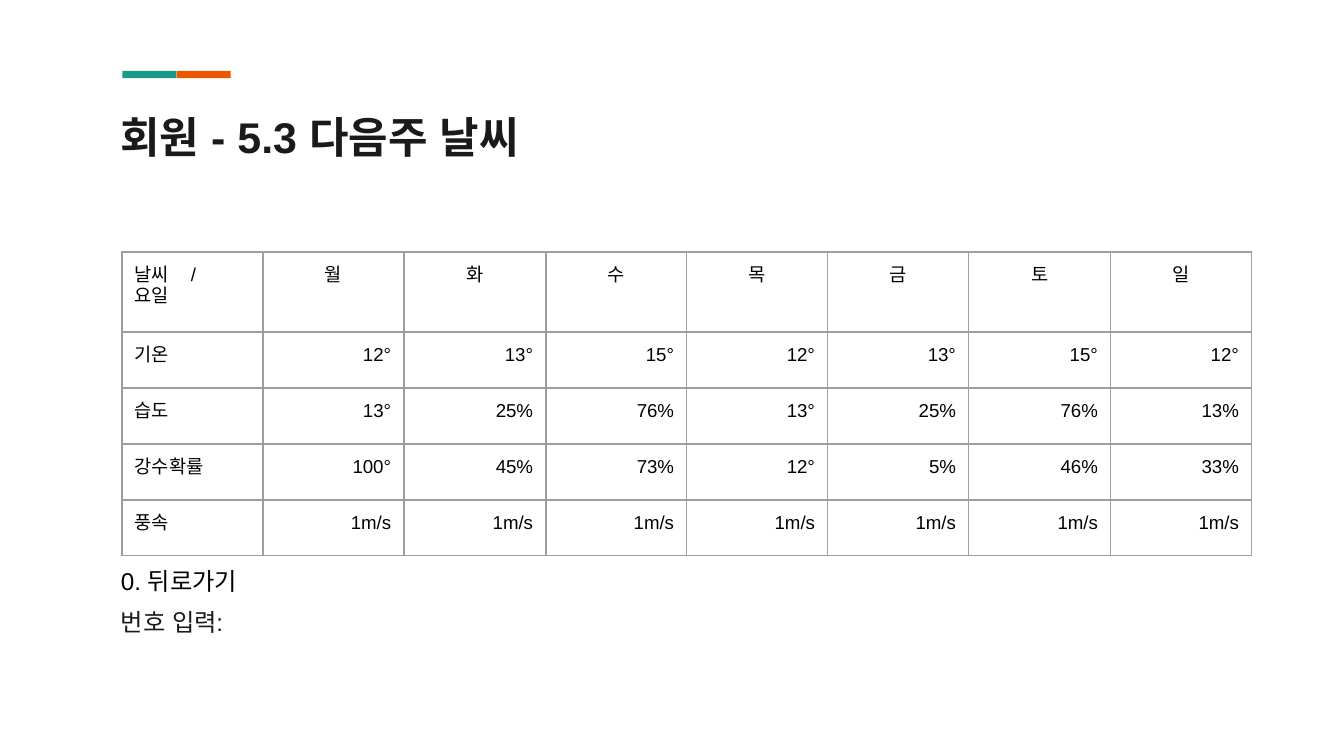
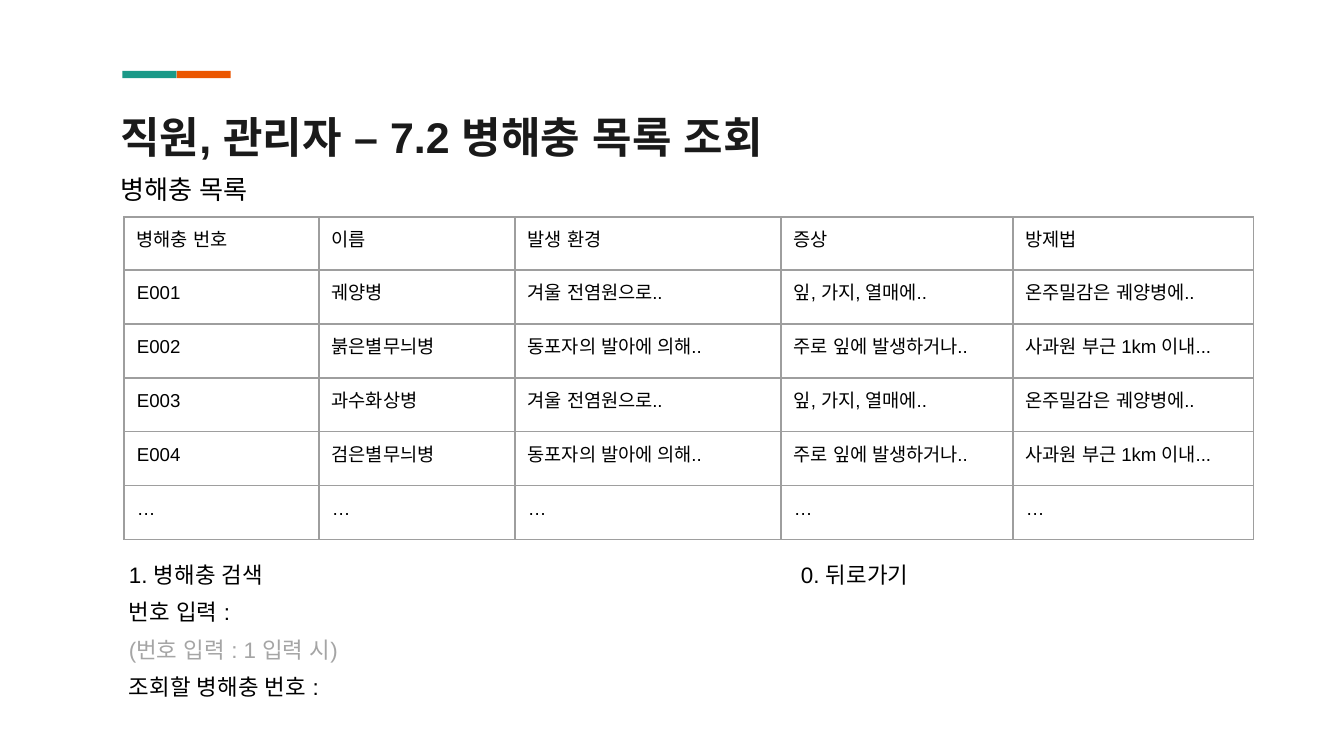
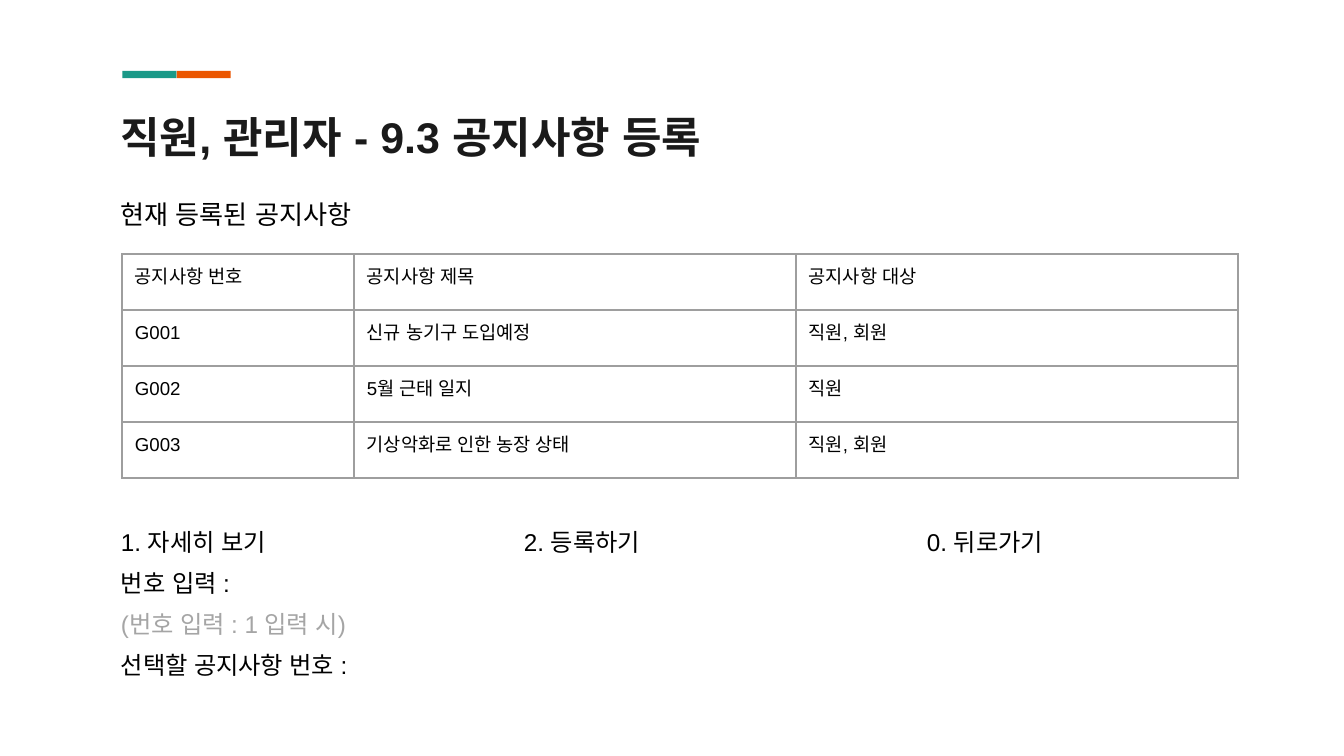
from dataclasses import dataclass

from lxml import etree
from pptx import Presentation
from pptx.dml.color import RGBColor
from pptx.enum.shapes import MSO_SHAPE
from pptx.enum.text import MSO_ANCHOR, MSO_AUTO_SIZE, PP_ALIGN
from pptx.oxml.ns import qn
from pptx.util import Emu, Pt

# Shared style
TEAL = RGBColor(0x1A, 0x99, 0x88)
ORANGE = RGBColor(0xEB, 0x56, 0x00)
INK = RGBColor(0x1A, 0x1A, 0x1A)
BLACK = RGBColor(0, 0, 0)
HINT = RGBColor(0xA5, 0xA5, 0xA5)
GRID = RGBColor(0x9E, 0x9E, 0x9E)
FONT = "Arial"
RECT = MSO_SHAPE.RECTANGLE
TOP, MIDDLE = MSO_ANCHOR.TOP, MSO_ANCHOR.MIDDLE
LEFT, CENTER, RIGHT = PP_ALIGN.LEFT, PP_ALIGN.CENTER, PP_ALIGN.RIGHT
NO_FIT = MSO_AUTO_SIZE.NONE
TITLE_ONLY = 5
W, H = 1344, 756
INSET = 13


def px(n: int) -> Emu:
    return Emu(round(n * 9144000 / W))


@dataclass
class Box:
    x: int
    y: int
    w: int
    h: int

    def emu(self) -> tuple:
        return px(self.x), px(self.y), px(self.w), px(self.h)


@dataclass
class Line:
    text: str
    color: RGBColor = BLACK
    tabs: tuple = ()


@dataclass
class TextBlock:
    box: Box
    size: int
    lines: list
    spacing: float = 1.0
    anchor: MSO_ANCHOR = TOP


@dataclass
class Grid:
    x: int
    y: int
    cols: list
    rows: list
    cells: list
    head_align: PP_ALIGN = LEFT
    value_align: PP_ALIGN = LEFT


@dataclass
class Page:
    title: str
    grid: Grid
    blocks: list


TITLE_BOX = Box(107, 98, 1130, 79)
# Upright bars, turned on their side and scaled by their group
BARS_BOX = Box(148, 4, 57, 141)
BARS = [(Box(78, 0, 4, 78), ORANGE), (Box(0, 0, 4, 78), TEAL)]


def add_text(p, text: str, size: int, color: RGBColor, bold: bool = False, tabs: tuple = ()) -> None:
    if tabs:
        tab_list = etree.SubElement(p._p.get_or_add_pPr(), qn("a:tabLst"))
        for stop in tabs:
            etree.SubElement(tab_list, qn("a:tab"), pos=str(px(stop)), algn="l")
    for i, part in enumerate(text.split("\n")):
        if i:
            p.add_line_break()
        r = p.add_run()
        r.text = part
        r.font.name, r.font.size, r.font.bold = FONT, Pt(size), bold
        r.font.color.rgb = color
        etree.SubElement(r._r.get_or_add_rPr(), qn("a:ea"), typeface=FONT)


def set_frame(tf, anchor: MSO_ANCHOR) -> None:
    tf.word_wrap = True
    tf.auto_size = NO_FIT
    tf.vertical_anchor = anchor
    tf.margin_left = tf.margin_right = tf.margin_top = tf.margin_bottom = px(INSET)


def add_bars(s, layout) -> None:
    """Draw the accent bars as a group and hand it to the layout."""
    group = s.shapes.add_group_shape()
    for box, color in BARS:
        sp = group.shapes.add_shape(RECT, *box.emu())
        sp.rotation = 270
        sp.shadow.inherit = False
        sp.fill.solid()
        sp.fill.fore_color.rgb = color
        sp.line.fill.background()
    group.left, group.top, group.width, group.height = BARS_BOX.emu()
    for i, props in enumerate(group.element.xpath(".//p:cNvPr")):
        props.set("id", str(20 + i))
    layout.shapes.element.append(group.element)


def add_title(s, title: str) -> None:
    sp = s.shapes.title
    sp.left, sp.top, sp.width, sp.height = TITLE_BOX.emu()
    set_frame(sp.text_frame, TOP)
    p = sp.text_frame.paragraphs[0]
    p.alignment = LEFT
    add_text(p, title, 23, INK, bold=True)


def add_block(s, block: TextBlock) -> None:
    tf = s.shapes.add_textbox(*block.box.emu()).text_frame
    set_frame(tf, block.anchor)
    for i, line in enumerate(block.lines):
        p = tf.add_paragraph() if i else tf.paragraphs[0]
        p.line_spacing = block.spacing
        add_text(p, line.text, block.size, line.color, tabs=line.tabs)


def add_borders(cell) -> None:
    tc_pr = cell._tc.get_or_add_tcPr()
    for side in ("a:lnL", "a:lnR", "a:lnT", "a:lnB"):
        ln = etree.SubElement(tc_pr, qn(side), w=str(Pt(0.75)))
        fill = etree.SubElement(ln, qn("a:solidFill"))
        etree.SubElement(fill, qn("a:srgbClr"), val=str(GRID))


def add_grid(s, grid: Grid) -> None:
    box = Box(grid.x, grid.y, sum(grid.cols), sum(grid.rows))
    table = s.shapes.add_table(len(grid.rows), len(grid.cols), *box.emu()).table
    table.first_row = table.horz_banding = False
    for col, width in zip(table.columns, grid.cols):
        col.width = px(width)
    for row, height in zip(table.rows, grid.rows):
        row.height = px(height)
    for i, texts in enumerate(grid.cells):
        for j, text in enumerate(texts):
            cell = table.cell(i, j)
            cell.margin_left = cell.margin_right = px(INSET)
            cell.margin_top = cell.margin_bottom = px(INSET)
            add_borders(cell)
            cell.fill.background()
            p = cell.text_frame.paragraphs[0]
            if j:
                p.alignment = grid.value_align if i else grid.head_align
            add_text(p, text, 10, BLACK, tabs=(56,) if "\t" in text else ())


def menu(box: Box, size: int, choices: str, tabs: tuple, question: str) -> TextBlock:
    """Choices, the number prompt, a grey hint and the follow-up question."""
    lines = [Line(choices, tabs=tabs), Line("번호 입력 :"),
             Line("(번호 입력 : 1 입력 시)", HINT), Line(question)]
    return TextBlock(box, size, lines, 1.4)


# Contents
WEATHER = [
    ["날씨\t/\n요일", *"월화수목금토일"],
    ["기온", "12°", "13°", "15°", "12°", "13°", "15°", "12°"],
    ["습도", "13°", "25%", "76%", "13°", "25%", "76%", "13%"],
    ["강수확률", "100°", "45%", "73%", "12°", "5%", "46%", "33%"],
    ["풍속"] + ["1m/s"] * 7,
]
CANKER = ["겨울 전염원으로..", "잎, 가지, 열매에..", "온주밀감은 궤양병에.."]
RUST = ["동포자의 발아에 의해..", "주로 잎에 발생하거나..", "사과원 부근 1km 이내..."]
PESTS = [
    ["병해충 번호", "이름", "발생 환경", "증상", "방제법"],
    ["E001", "궤양병", *CANKER],
    ["E002", "붉은별무늬병", *RUST],
    ["E003", "과수화상병", *CANKER],
    ["E004", "검은별무늬병", *RUST],
    ["…"] * 5,
]
NOTICES = [
    ["공지사항 번호", "공지사항 제목", "공지사항 대상"],
    ["G001", "신규 농기구 도입예정", "직원, 회원"],
    ["G002", "5월 근태 일지", "직원"],
    ["G003", "기상악화로 인한 농장 상태", "직원, 회원"],
]

PAGES = [
    Page("회원 - 5.3 다음주 날씨",
         Grid(122, 252, [141, 141, 142, 141] * 2, [80] + [56] * 4, WEATHER, CENTER, RIGHT),
         [TextBlock(Box(108, 544, 516, 103), 13,
                    [Line("0. 뒤로가기"), Line("번호 입력:", INK)], 1.4, MIDDLE)]),
    Page("직원, 관리자 – 7.2 병해충 목록 조회",
         Grid(124, 217, [195, 196, 266, 232, 241], [53] + [54] * 5, PESTS),
         [TextBlock(Box(107, 160, 495, 59), 14, [Line("병해충 목록")]),
          menu(Box(116, 537, 1077, 206), 12, "1. 병해충 검색\t0. 뒤로가기",
               (672,), "조회할 병해충 번호 :")]),
    Page("직원, 관리자 - 9.3 공지사항 등록",
         Grid(122, 254, [232, 442, 442], [56] * 4, NOTICES),
         [TextBlock(Box(107, 185, 413, 59), 14, [Line("현재 등록된 공지사항")]),
          menu(Box(108, 503, 1077, 206), 13, "1. 자세히 보기\t2. 등록하기\t0. 뒤로가기",
               (403, 806), "선택할 공지사항 번호 :")]),
]


def main() -> None:
    prs = Presentation()
    prs.slide_width, prs.slide_height = px(W), px(H)
    layout = prs.slide_layouts[TITLE_ONLY]
    for i, page in enumerate(PAGES):
        s = prs.slides.add_slide(layout)
        if i == 0:
            add_bars(s, layout)
        add_title(s, page.title)
        add_grid(s, page.grid)
        for block in page.blocks:
            add_block(s, block)
    prs.save("out.pptx")


if __name__ == "__main__":
    main()
